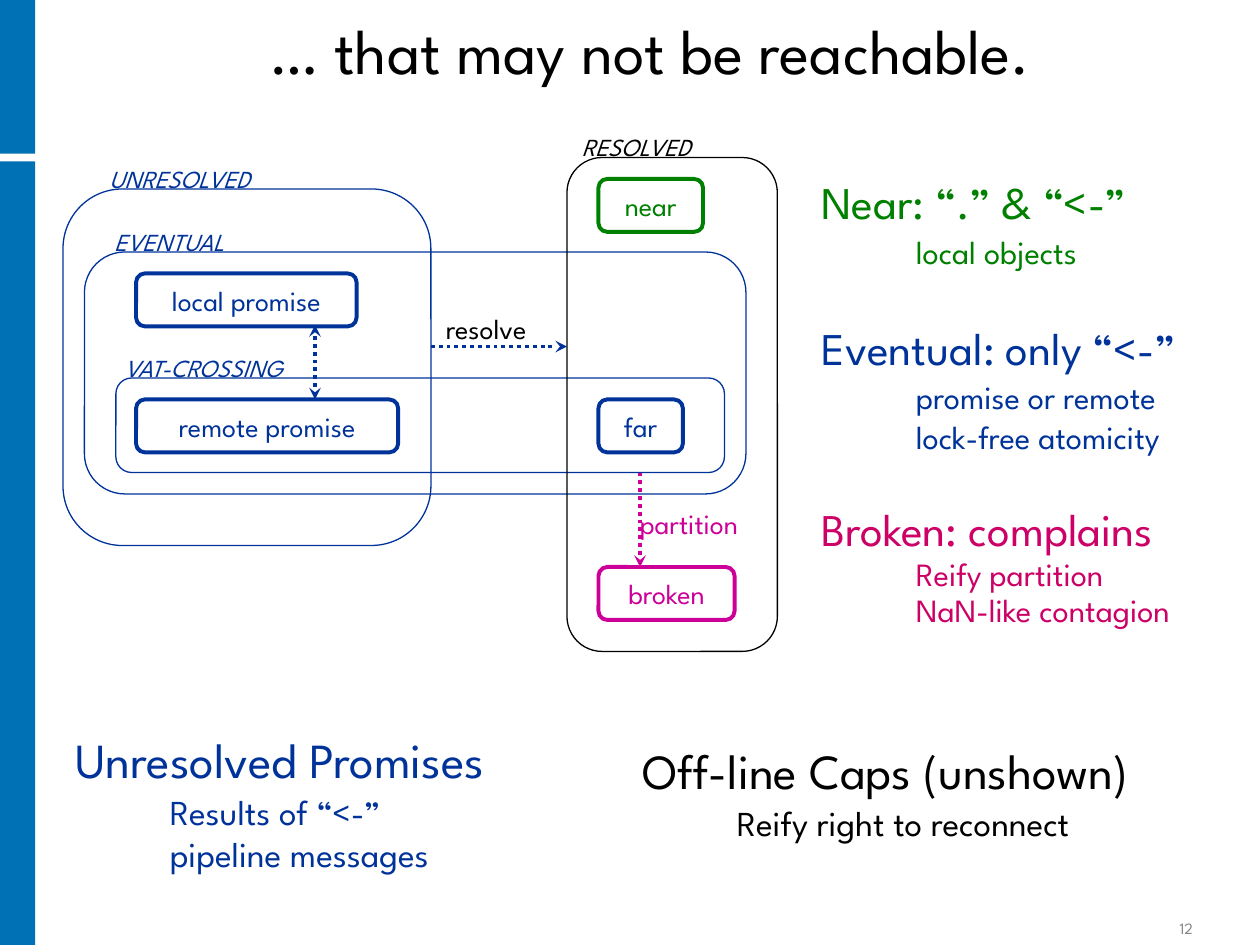
"""Build a slide on the states of references and their reachability."""
import dataclasses

import lxml.etree
import pptx
import pptx.dml.color
import pptx.enum.dml
import pptx.enum.shapes
import pptx.enum.text
import pptx.oxml.ns
import pptx.util

Inches = pptx.util.Inches
Pt = pptx.util.Pt
RGB = pptx.dml.color.RGBColor.from_string
Shape = pptx.enum.shapes.MSO_SHAPE
Align = pptx.enum.text.PP_ALIGN
Anchor = pptx.enum.text.MSO_ANCHOR
Fit = pptx.enum.text.MSO_AUTO_SIZE
qn = pptx.oxml.ns.qn


@dataclasses.dataclass(frozen=True)
class Theme:
    font: str = "League Spartan"
    white: str = "FFFFFF"
    black: str = "000000"
    bar: str = "0071B4"
    blue: str = "003399"
    green: str = "008000"
    pink: str = "CC0066"
    purple: str = "CC0099"
    gray: str = "848589"
    title: float = 36
    head: float = 28
    point: float = 20
    side_head: float = 25.9
    side_point: float = 18.5
    node: float = 16
    label: float = 14
    number: float = 9


theme = Theme()


def write(frame, text, size, color, align=Align.LEFT, italic=False, line=1.0,
          before=0, after=0, indent=0):
    first = frame.paragraphs[0]
    para = frame.add_paragraph() if first.runs else first
    para.alignment = align
    para.line_spacing = line
    para.space_before, para.space_after = Pt(before), Pt(after)
    para._p.get_or_add_pPr().set("marL", str(Inches(indent)))
    run = para.add_run()
    run.text = text
    font = run.font
    font.name, font.size, font.italic = theme.font, Pt(size), italic
    font.color.rgb = RGB(color)


def draw(kind, place, fill=None, line=None, width=0.75):
    shape = slide.shapes.add_shape(kind, *map(Inches, place))
    shape.shadow.inherit = False
    if fill:
        shape.fill.solid()
        shape.fill.fore_color.rgb = RGB(fill)
    else:
        shape.fill.background()
    if line:
        shape.line.color.rgb = RGB(line)
        shape.line.width = Pt(width)
    else:
        shape.line.fill.background()
    return shape


deck = pptx.Presentation()
deck.slide_width, deck.slide_height = Inches(10), Inches(7.5)
slide = deck.slides.add_slide(deck.slide_layouts[6])

for top, height in ((0, 1.22), (1.28, 6.22)):
    draw(Shape.RECTANGLE, (0, top, 0.28, height), fill=theme.bar)

for text, place, size, color in (
    ("… that may not be reachable.", (0.33, 0.08, 9.67, 0.67), theme.title, theme.black),
    ("12", (9, 7.25, 0.83, 0.24), theme.number, theme.gray),
):
    frame = slide.shapes.add_textbox(*map(Inches, place)).text_frame
    frame.word_wrap = True
    frame.vertical_anchor = Anchor.BOTTOM
    write(frame, text, size, color, align=Align.CENTER,
          line=0.9 if size == theme.title else 1.0)

lists = (
    ((6.42, 1.42, 3.42, 4.42), theme.side_head, theme.side_point, (
        ("Near: “.” & “<-”", theme.green, 0.8, ("local objects",)),
        ("Eventual: only “<-”", theme.blue, 0.8, ("promise or remote", "lock-free atomicity")),
        ("Broken: complains", theme.pink, 0.7, ("Reify partition", "NaN-like contagion")),
    )),
    ((0.5, 5.83, 4.17, 1.17), theme.head, theme.point, (
        ("Unresolved Promises", theme.blue, 0.8, ("Results of “<-”", "pipeline messages")),
    )),
    ((5, 5.92, 4.67, 1.17), theme.head, theme.point, (
        ("Off-line Caps (unshown)", theme.black, 0.8, ("Reify right to reconnect",)),
    )),
)
for place, big, small, groups in lists:
    frame = slide.shapes.add_textbox(*map(Inches, place)).text_frame
    frame.word_wrap = True
    for index, (head, color, line, points) in enumerate(groups):
        write(frame, head, big, color, line=line, before=32 if index else 10.5, after=3.5)
        for point in points:
            write(frame, point, small, color, line=line, before=2.5, after=2.5, indent=0.75)

for text, left, top, width, color in (
    ("local promise", 1.08, 2.17, 1.75, theme.blue),
    ("remote promise", 1.08, 3.17, 2.08, theme.blue),
    ("near", 4.75, 1.42, 0.83, theme.green),
    ("far", 4.75, 3.17, 0.67, theme.blue),
    ("broken", 4.75, 4.5, 1.08, theme.purple),
):
    node = draw(Shape.ROUNDED_RECTANGLE, (left, top, width, 0.42),
                fill=theme.white, line=color, width=2.25)
    node.text_frame.word_wrap = False
    node.text_frame.vertical_anchor = Anchor.MIDDLE
    write(node.text_frame, text, theme.node, color, align=Align.CENTER)

for place, color in (
    ((0.5, 1.5, 2.92, 2.83), theme.blue),
    ((0.67, 2, 5.25, 1.92), theme.blue),
    ((0.92, 3, 4.83, 0.75), theme.blue),
    ((4.5, 1.25, 1.67, 3.92), theme.black),
):
    draw(Shape.ROUNDED_RECTANGLE, place, line=color)

for ends, color, tips in (
    ((2.5, 2.58, 2.5, 3.17), theme.blue, ("headEnd", "tailEnd")),
    ((3.42, 2.75, 4.5, 2.75), theme.blue, ("tailEnd",)),
    ((5.08, 3.75, 5.08, 4.5), theme.purple, ("tailEnd",)),
):
    arrow = slide.shapes.add_connector(
        pptx.enum.shapes.MSO_CONNECTOR.STRAIGHT, *map(Inches, ends))
    arrow.line.color.rgb = RGB(color)
    arrow.line.width = Pt(2.25)
    arrow.line.dash_style = pptx.enum.dml.MSO_LINE.ROUND_DOT
    for tip in tips:
        lxml.etree.SubElement(arrow.line._get_or_add_ln(), qn("a:" + tip), type="stealth")
    lxml.etree.SubElement(arrow._element.spPr, qn("a:effectLst"))

for text, place, size, color in (
    ("UNRESOLVED", (0.77, 1.25, 1.35, 0.34), theme.label, theme.blue),
    ("EVENTUAL", (0.81, 1.75, 1.08, 0.34), theme.label, theme.blue),
    ("VAT-CROSSING", (0.89, 2.75, 1.47, 0.34), theme.label, theme.blue),
    ("RESOLVED", (4.52, 1, 1.08, 0.34), theme.label, theme.black),
    ("resolve", (3.44, 2.42, 0.95, 0.37), theme.node, theme.black),
    ("partition", (4.98, 3.97, 1.1, 0.37), theme.node, theme.purple),
):
    frame = slide.shapes.add_textbox(*map(Inches, place)).text_frame
    frame.word_wrap = False
    frame.auto_size = Fit.SHAPE_TO_FIT_TEXT
    write(frame, text, size, color, italic=size == theme.label)

deck.save("out.pptx")
